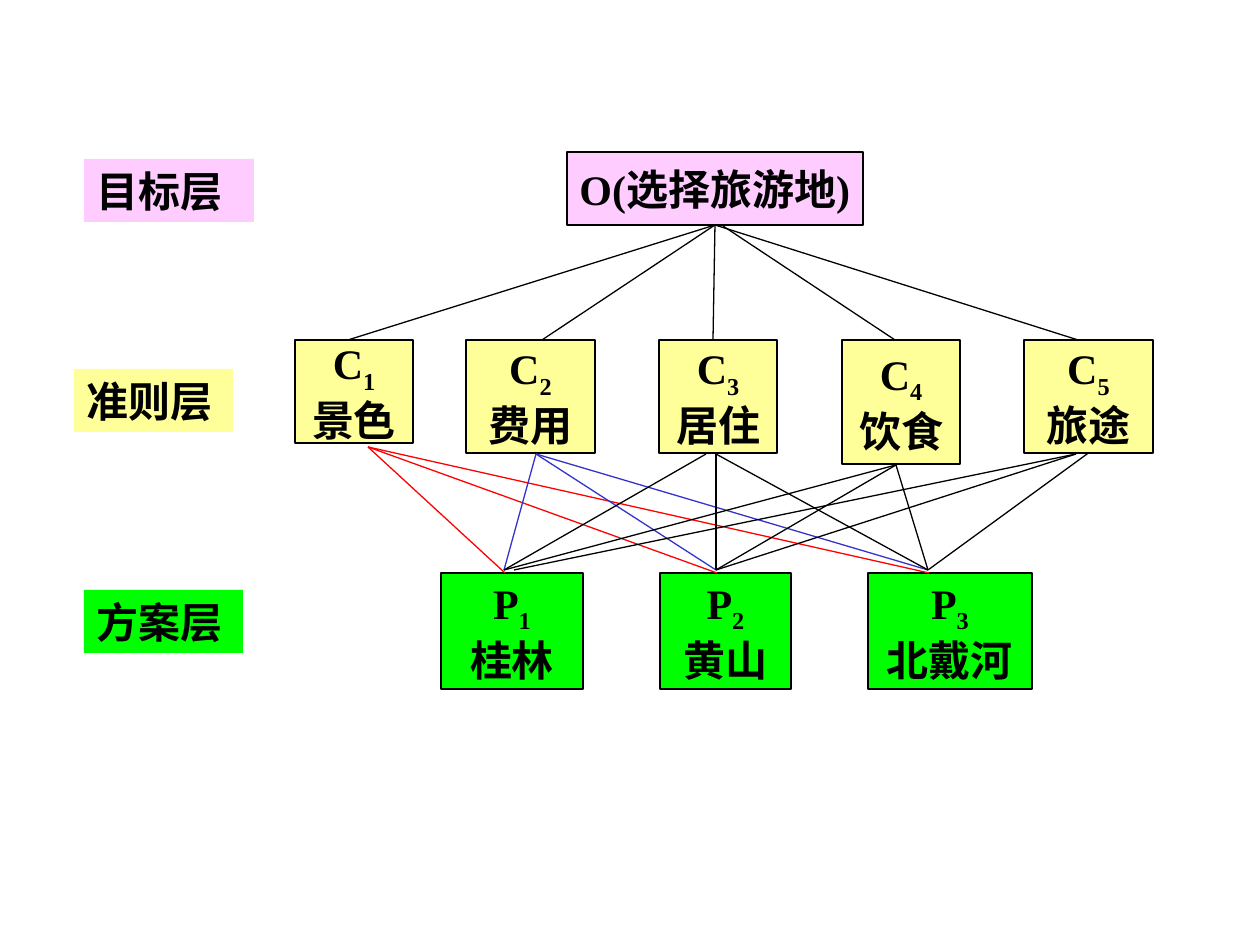
from dataclasses import dataclass

from lxml.etree import SubElement
from pptx import Presentation
from pptx.dml.color import RGBColor as RGB
from pptx.enum.shapes import MSO_CONNECTOR as CONN, MSO_SHAPE as SHAPE
from pptx.enum.text import MSO_ANCHOR as ANCHOR, MSO_AUTO_SIZE as AUTO, PP_ALIGN as ALIGN
from pptx.oxml.ns import qn
from pptx.util import Pt

EMU_PER_PX = 914400 / 126
TOP, BOTTOM = 0, 2


@dataclass(frozen=True)
class Theme:
    font: str = "Times New Roman"
    size: int = 24
    line: float = 0.75
    before: int = 15
    subscript: str = "-25000"
    ink: str = "000000"
    goal: str = "FFCCFF"
    criterion: str = "FFFF99"
    option: str = "00FF00"
    red: str = "FF0000"
    blue: str = "3333CC"


def px(*lengths):
    return [round(v * EMU_PER_PX) for v in lengths]


def rgb(value):
    return RGB.from_string(value)


def assign(target, values):
    for name, value in values.items():
        setattr(target, name, value)


class Diagram:
    def __init__(self, slide, theme):
        self.s, self.t = slide, theme

    def rect(self, bounds, fill):
        sp = self.s.shapes.add_shape(SHAPE.RECTANGLE, *px(*bounds))
        sp.shadow.inherit = False
        sp.fill.solid()
        sp.fill.fore_color.rgb = rgb(fill)
        return sp

    def run(self, p, text):
        r = p.add_run()
        r.text = text
        assign(r.font, dict(name=self.t.font, size=Pt(self.t.size), bold=True))
        r.font.color.rgb = rgb(self.t.ink)
        return r

    def label(self, bounds, fill, text):
        sp = self.rect(bounds, fill)
        sp.line.fill.background()
        assign(sp.text_frame, dict(word_wrap=True, vertical_anchor=ANCHOR.TOP,
                                   auto_size=AUTO.SHAPE_TO_FIT_TEXT))
        p = sp.text_frame.paragraphs[0]
        assign(p, dict(alignment=ALIGN.LEFT, space_before=Pt(self.t.before)))
        self.run(p, text)

    def box(self, bounds, fill, text, align=ALIGN.LEFT):
        sp = self.rect(bounds, fill)
        sp.line.color.rgb = rgb(self.t.ink)
        sp.line.width = Pt(self.t.line)
        assign(sp.text_frame, dict(word_wrap=False, vertical_anchor=ANCHOR.MIDDLE))
        p = sp.text_frame.paragraphs[0]
        p.alignment = align
        self.run(p, text)
        return sp

    def node(self, bounds, fill, letter, index, name):
        """Box with an indexed symbol above its name."""
        sp = self.box(bounds, fill, letter, ALIGN.CENTER)
        tf = sp.text_frame
        r = self.run(tf.paragraphs[0], str(index))
        r.font._element.set("baseline", self.t.subscript)
        p = tf.add_paragraph()
        p.alignment = ALIGN.CENTER
        self.run(p, name)
        return sp

    def fan(self, start, ends, color):
        """Lines from one start, a point or a (shape, site) pair, to many points."""
        joined = not isinstance(start[0], int)
        for end in ends:
            origin = end if joined else start
            c = self.s.shapes.add_connector(CONN.STRAIGHT, *px(*origin, *end))
            if joined:
                c.begin_connect(*start)
            c.line.color.rgb = rgb(color)
            c.line.width = Pt(self.t.line)
            SubElement(c._element.spPr, qn("a:effectLst"))


def main():
    prs = Presentation()
    prs.slide_width, prs.slide_height = px(1260, 945)
    t = Theme()
    d = Diagram(prs.slides.add_slide(prs.slide_layouts[6]), t)

    for bounds, fill, text in [
        ((84, 159, 170, 63), t.goal, "目标层"),
        ((74, 369, 159, 63), t.criterion, "准则层"),
        ((84, 590, 159, 63), t.option, "方案层"),
    ]:
        d.label(bounds, fill, text)

    goal = d.box((567, 152, 296, 73), t.goal, "O(选择旅游地)")

    criteria_top = 340
    criteria = [
        d.node((x, criteria_top, w, h), t.criterion, "C", i, name)
        for i, (x, w, h, name) in enumerate([
            (295, 118, 103, "景色"), (466, 129, 113, "费用"), (659, 118, 113, "居住"),
            (842, 118, 124, "饮食"), (1024, 129, 113, "旅途")], 1)
    ]
    for i, (x, w, name) in enumerate(
            [(441, 142, "桂林"), (660, 131, "黄山"), (868, 164, "北戴河")], 1):
        d.node((x, 573, w, 116), t.option, "P", i, name)

    d.fan((goal, BOTTOM), [(x, criteria_top) for x in (713, 542, 348, 1078)], t.ink)
    d.fan((723, 226), [(895, criteria_top)], t.ink)

    d.fan((368, 447), [(x, 573) for x in (505, 717, 929)], t.red)
    p1, p2, p3 = options = [(x, 570) for x in (504, 716, 928)]
    d.fan((536, 454), options, t.blue)
    d.fan((706, 454), [p1], t.ink)
    d.fan((716, 454), [p2, p3], t.ink)
    d.fan((896, 465), options, t.ink)
    d.fan((1076, 454), [(514, 570), p2], t.ink)
    d.fan((criteria[-1], BOTTOM), [p3], t.ink)

    prs.save("out.pptx")


if __name__ == "__main__":
    main()
